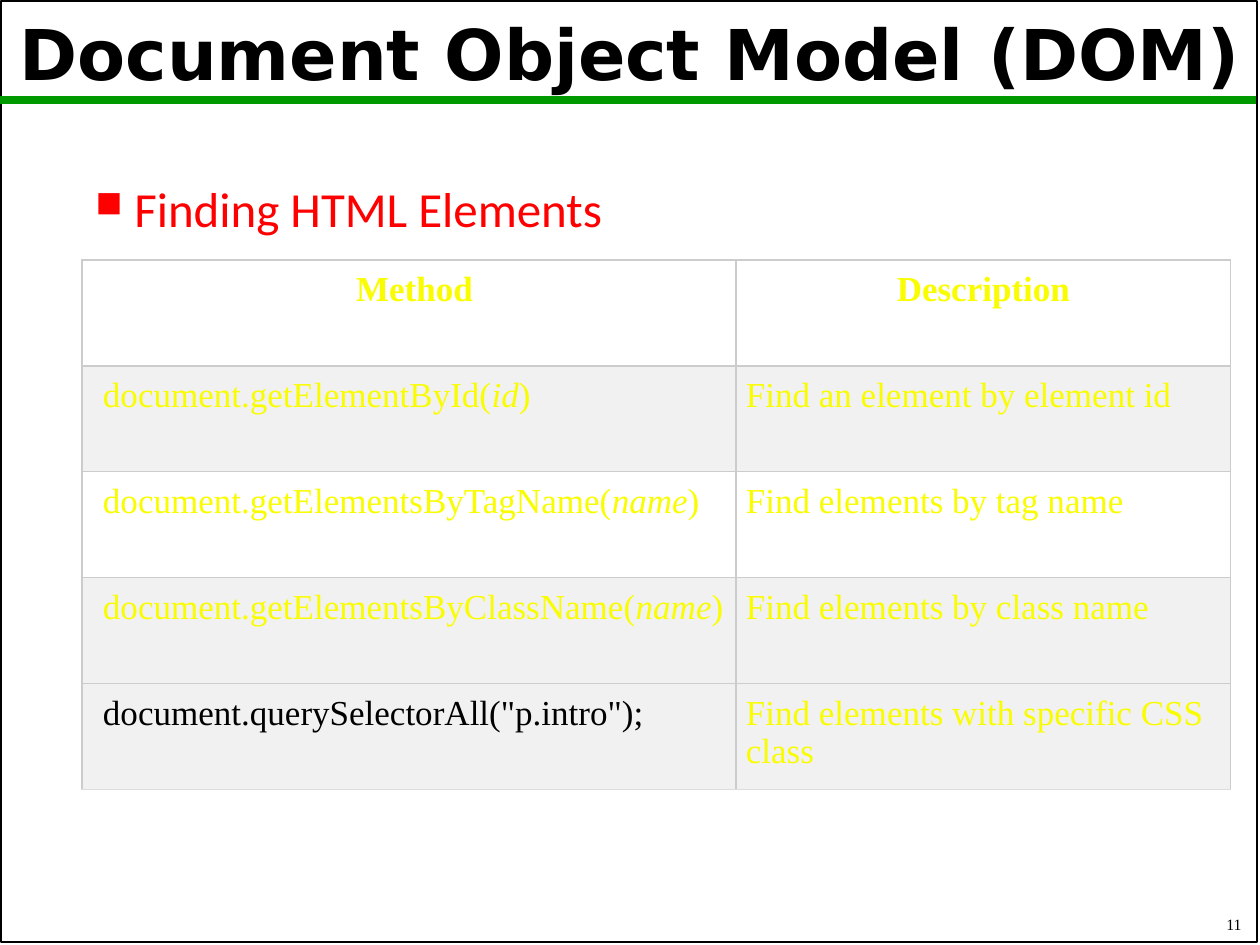
from lxml import etree
from pptx import Presentation
from pptx.dml.color import RGBColor
from pptx.enum.shapes import MSO_CONNECTOR, MSO_SHAPE
from pptx.enum.text import MSO_ANCHOR, PP_ALIGN
from pptx.oxml.ns import qn
from pptx.util import Emu, Pt

PX = 914400 / 126
BLACK = RGBColor(0x00, 0x00, 0x00)
WHITE = RGBColor(0xFF, 0xFF, 0xFF)
GREEN = RGBColor(0x00, 0x99, 0x00)
RED = RGBColor(0xFF, 0x00, 0x00)
YELLOW = RGBColor(0xFA, 0xFD, 0x00)
BAND = RGBColor(0xF1, 0xF1, 0xF1)
BORDER = RGBColor(0xCC, 0xCC, 0xCC)
BORDER_END = RGBColor(0xDD, 0xDD, 0xDD)

LEFT, CENTER, RIGHT = PP_ALIGN.LEFT, PP_ALIGN.CENTER, PP_ALIGN.RIGHT
TOP, MIDDLE, BOTTOM = MSO_ANCHOR.TOP, MSO_ANCHOR.MIDDLE, MSO_ANCHOR.BOTTOM
SERIF = "Times New Roman"

COLUMNS = (654, 495)
ROW_HEIGHT = 106
ROWS = [
    (("Method",), "Description"),
    (("document.getElementById(", "id", ")"), "Find an element by element id"),
    (("document.getElementsByTagName(", "name", ")"), "Find elements by tag name"),
    (("document.getElementsByClassName(", "name", ")"), "Find elements by class name"),
    (('document.querySelectorAll("p.intro");',), "Find elements with specific CSS class"),
]
ROW_FILLS = (WHITE, BAND, WHITE, BAND, BAND)


def px(n):
    return Emu(round(n * PX))


def write(tf, *parts, size, font=SERIF, color=BLACK, bold=False, align=LEFT, spacing=None):
    p = tf.paragraphs[0]
    p.alignment = align
    if spacing:
        p.line_spacing = spacing
    for i, part in enumerate(parts):
        r = p.add_run()
        r.text = part
        r.font.name = font
        r.font.size = Pt(size)
        r.font.bold = bold
        r.font.italic = i % 2 == 1
        r.font.color.rgb = color
    return p


def add_text(s, text, x, y, w, h, anchor=TOP, **fmt):
    tf = s.shapes.add_textbox(px(x), px(y), px(w), px(h)).text_frame
    tf.word_wrap = True
    tf.vertical_anchor = anchor
    return write(tf, text, **fmt)


def add_bullet(p, char, percent, indent):
    pPr = p._p.get_or_add_pPr()
    pPr.set("marL", str(px(indent)))
    pPr.set("indent", str(-px(indent)))
    etree.SubElement(pPr, qn("a:buSzPct")).set("val", str(percent * 1000))
    etree.SubElement(pPr, qn("a:buChar")).set("char", char)


def add_frame(s, x, y, w, h):
    sp = s.shapes.add_shape(MSO_SHAPE.RECTANGLE, px(x), px(y), px(w), px(h))
    sp.shadow.inherit = False
    sp.fill.background()
    sp.line.color.rgb = BLACK
    sp.line.width = Pt(1)


def add_rule(s, x1, x2, y):
    line = s.shapes.add_connector(MSO_CONNECTOR.STRAIGHT, px(x1), px(y), px(x2), px(y))
    line.line.color.rgb = GREEN
    line.line.width = Pt(4.5)
    etree.SubElement(line._element.spPr, qn("a:effectLst"))


def set_borders(cell, bottom):
    tcPr = cell._tc.get_or_add_tcPr()
    sides = {"lnL": BORDER, "lnR": BORDER, "lnT": BORDER, "lnB": bottom}
    for i, (side, color) in enumerate(sides.items()):
        ln = etree.Element(qn(f"a:{side}"), w=str(Pt(0.75)))
        fill = etree.SubElement(ln, qn("a:solidFill"))
        etree.SubElement(fill, qn("a:srgbClr")).set("val", str(color))
        tcPr.insert(i, ln)


def fill_cell(cell, parts, fill, left, bottom, **fmt):
    cell.margin_left = px(left)
    cell.margin_right = cell.margin_top = cell.margin_bottom = px(10)
    cell.fill.solid()
    cell.fill.fore_color.rgb = fill
    set_borders(cell, bottom)
    write(cell.text_frame, *parts, size=20, **fmt)


def add_methods_table(s, x, y):
    shape = s.shapes.add_table(len(ROWS), len(COLUMNS), px(x), px(y),
                               px(sum(COLUMNS)), px(ROW_HEIGHT * len(ROWS)))
    table = shape.table
    for column, width in zip(table.columns, COLUMNS):
        column.width = px(width)
    last = len(ROWS) - 1
    for i, (method, description) in enumerate(ROWS):
        table.rows[i].height = px(ROW_HEIGHT)
        fmt = dict(fill=ROW_FILLS[i], bottom=BORDER_END if i == last else BORDER,
                   bold=i == 0, align=CENTER if i == 0 else LEFT)
        fill_cell(table.cell(i, 0), method, left=21,
                  color=BLACK if i == last else YELLOW, **fmt)
        fill_cell(table.cell(i, 1), (description,), left=10, color=YELLOW, **fmt)


def main():
    prs = Presentation()
    prs.slide_width, prs.slide_height = px(1260), px(945)
    s = prs.slides.add_slide(prs.slide_layouts[6])
    add_frame(s, 1, 1, 1256, 941)
    add_rule(s, 0, 1256, 100)
    add_text(s, "Document Object Model (DOM)", 6, 14, 1247, 87, anchor=MIDDLE,
             size=40, font="DejaVu Sans", bold=True, align=CENTER, spacing=0.9)
    p = add_text(s, "Finding HTML Elements", 83, 179, 1148, 168,
                 size=28, font="Calibri", color=RED, spacing=0.9)
    add_bullet(p, "■", 75, 39)
    add_text(s, "11", 992, 903, 262, 37, anchor=BOTTOM, size=9, align=RIGHT)
    add_methods_table(s, 82, 260)
    prs.save("out.pptx")


if __name__ == "__main__":
    main()
